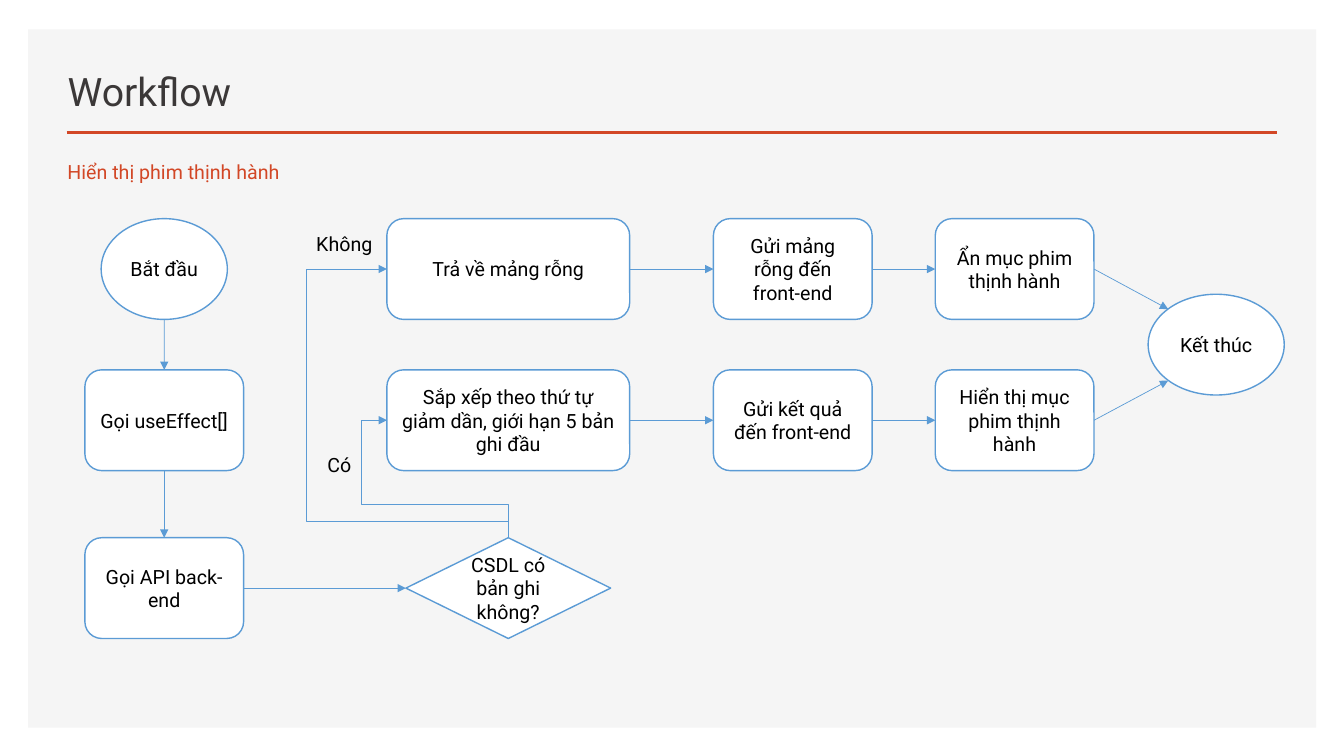
from dataclasses import dataclass

import pptx
import pptx.dml.color
import pptx.enum.shapes
import pptx.enum.text
import pptx.oxml.ns
import pptx.util
from lxml import etree

Cm = pptx.util.Cm
Pt = pptx.util.Pt
Shape = pptx.enum.shapes.MSO_SHAPE
Connector = pptx.enum.shapes.MSO_CONNECTOR
Align = pptx.enum.text.PP_ALIGN
Anchor = pptx.enum.text.MSO_ANCHOR
qn = pptx.oxml.ns.qn

FONT = "Roboto"
COLOURS = {
    "panel": "F5F5F5",
    "accent": "D24726",
    "title": "3B3838",
    "node": "FFFFFF",
    "flow": "5B9BD5",
    "text": "000000",
}
NODE_HEIGHT = 2.54
ROW_TOP, ROW_MIDDLE, ROW_BOTTOM = 6.78, 10.59, 14.82
COLUMN_CALL, COLUMN_QUERY, COLUMN_SEND, COLUMN_SHOW = 4.14, 12.81, 19.98, 25.57
TOP, LEFT, BOTTOM, RIGHT = range(4)


@dataclass(frozen=True)
class Node:
    """A flowchart step, placed by its centre in centimetres."""
    text: str
    x: float
    y: float
    width: float = 4.0
    kind: Shape = Shape.ROUNDED_RECTANGLE


@dataclass(frozen=True)
class Flow:
    start: str
    start_side: int
    end: str
    end_side: int


@dataclass(frozen=True)
class Branch:
    """A decision outcome: up by lift, left past the target by overhang, then in."""
    target: str
    lift: float
    overhang: float
    label: str
    label_x: float
    label_y: float
    label_width: float


NODES = {
    "start": Node("Bắt đầu", COLUMN_CALL, ROW_TOP, 3.18, Shape.OVAL),
    "effect": Node("Gọi useEffect[]", COLUMN_CALL, ROW_MIDDLE),
    "api": Node("Gọi API back-end", COLUMN_CALL, ROW_BOTTOM),
    "decision": Node("CSDL có bản ghi không?", COLUMN_QUERY, ROW_BOTTOM, 5.16, Shape.DIAMOND),
    "empty": Node("Trả về mảng rỗng", COLUMN_QUERY, ROW_TOP, 6.12),
    "sort": Node("Sắp xếp theo thứ tự giảm dần, giới hạn 5 bản ghi đầu",
                 COLUMN_QUERY, ROW_MIDDLE, 6.12),
    "send_empty": Node("Gửi mảng rỗng đến front-end", COLUMN_SEND, ROW_TOP),
    "send_result": Node("Gửi kết quả đến front-end", COLUMN_SEND, ROW_MIDDLE),
    "hide": Node("Ẩn mục phim thịnh hành", COLUMN_SHOW, ROW_TOP),
    "show": Node("Hiển thị mục phim thịnh hành", COLUMN_SHOW, ROW_MIDDLE),
    "end": Node("Kết thúc", 30.65, (ROW_TOP + ROW_MIDDLE) / 2, 3.43, Shape.OVAL),
}
FLOWS = [
    Flow("effect", BOTTOM, "api", TOP),
    Flow("api", RIGHT, "decision", LEFT),
    Flow("empty", RIGHT, "send_empty", LEFT),
    Flow("send_empty", RIGHT, "hide", LEFT),
    Flow("sort", RIGHT, "send_result", LEFT),
    Flow("send_result", RIGHT, "show", LEFT),
]
BRANCHES = [
    Branch("sort", 0.84, 0.64, "Có", 8.0, 11.28, 1.12),
    Branch("empty", 0.40, 2.04, "Không", 7.72, 5.72, 1.96),
]


def colour(name: str) -> pptx.dml.color.RGBColor:
    return pptx.dml.color.RGBColor.from_string(COLOURS[name])


def format_text(frame, size: float, colour_name: str) -> None:
    for para in frame.paragraphs:
        for span in para.runs:
            span.font.size = Pt(size)
            span.font.name = FONT
            span.font.color.rgb = colour(colour_name)


def add_text(page, text: str, left: float, top: float, width: float, height: float,
             colour_name: str, wrap: bool):
    box = page.shapes.add_textbox(Cm(left), Cm(top), Cm(width), Cm(height))
    box.text_frame.word_wrap = wrap
    box.text_frame.text = text
    format_text(box.text_frame, 14, colour_name)
    return box


def add_node(page, node: Node):
    box = page.shapes.add_shape(node.kind, Cm(node.x - node.width / 2),
                                Cm(node.y - NODE_HEIGHT / 2), Cm(node.width), Cm(NODE_HEIGHT))
    box.shadow.inherit = False
    box.fill.solid()
    box.fill.fore_color.rgb = colour("node")
    box.line.color.rgb = colour("flow")
    box.line.width = Pt(1)
    frame = box.text_frame
    frame.word_wrap = True
    frame.vertical_anchor = Anchor.MIDDLE
    frame.text = node.text
    frame.paragraphs[0].alignment = Align.CENTER
    format_text(frame, 14, "text")
    return box


def add_line(page, start: tuple[float, float] = (0, 0), end: tuple[float, float] = (0, 0),
             kind: Connector = Connector.STRAIGHT, colour_name: str = "flow",
             width: float = 0.5, arrow: bool = True):
    line = page.shapes.add_connector(kind, *(Cm(value) for value in (*start, *end)))
    line.line.color.rgb = colour(colour_name)
    line.line.width = Pt(width)
    properties = line._element.spPr
    if arrow:
        etree.SubElement(properties.find(qn("a:ln")), qn("a:tailEnd"), type="triangle")
    etree.SubElement(properties, qn("a:effectLst"))
    return line


def add_branch(page, branch: Branch, boxes: dict) -> None:
    """Draw a four-segment elbow, turned so that it leaves the decision upwards."""
    source, target = boxes["decision"], boxes[branch.target]
    line = add_line(page, kind=Connector.ELBOW)
    line.begin_connect(source, TOP)
    line.end_connect(target, LEFT)
    rise = line.begin_y - line.end_y
    run = line.begin_x - line.end_x
    centre_x = (line.begin_x + line.end_x) // 2
    centre_y = (line.begin_y + line.end_y) // 2
    line.left, line.top = centre_x - rise // 2, centre_y - run // 2
    line.width, line.height = rise, run

    properties = line._element.spPr
    frame = properties.find(qn("a:xfrm"))
    frame.attrib.pop("flipH", None)
    frame.set("rot", str(270 * 60000))
    frame.set("flipV", "1")
    geometry = properties.find(qn("a:prstGeom"))
    geometry.set("prst", "bentConnector4")
    guides = geometry.find(qn("a:avLst"))
    if guides is None:
        guides = etree.SubElement(geometry, qn("a:avLst"))
    ratios = (Cm(branch.lift) / rise, 1 + Cm(branch.overhang) / run)
    for number, ratio in enumerate(ratios, start=1):
        etree.SubElement(guides, qn("a:gd"), name=f"adj{number}",
                         fmla=f"val {round(ratio * 100000)}")
    add_text(page, branch.label, branch.label_x, branch.label_y, branch.label_width,
             0.86, "text", False)


def add_heading(page) -> None:
    panel = page.shapes.add_shape(Shape.RECTANGLE, Cm(0.71), Cm(0.74), Cm(32.46), Cm(17.6))
    panel.shadow.inherit = False
    panel.fill.solid()
    panel.fill.fore_color.rgb = colour("panel")
    panel.line.fill.background()
    add_line(page, (1.68, 3.33), (32.18, 3.33), colour_name="accent", width=2, arrow=False)

    title = page.shapes.title
    page.shapes._spTree.append(title._element)
    title.left, title.top, title.width, title.height = Cm(1.45), Cm(1.24), Cm(19.1), Cm(1.78)
    title.text_frame.text = "Workflow"
    title.text_frame.vertical_anchor = Anchor.BOTTOM
    title.text_frame.paragraphs[0].alignment = Align.LEFT
    format_text(title.text_frame, 28, "title")

    subtitle = add_text(page, "Hiển thị phim thịnh hành", 1.45, 3.86, 12.75, 1.65, "accent", True)
    para = subtitle.text_frame.paragraphs[0]
    para.line_spacing, para.space_before, para.space_after = Pt(18), Pt(10), Pt(6)


def main() -> None:
    deck = pptx.Presentation()
    deck.slide_width, deck.slide_height = Cm(33.87), Cm(19.05)
    page = deck.slides.add_slide(deck.slide_layouts.get_by_name("Title Only"))
    add_heading(page)
    boxes = {name: add_node(page, node) for name, node in NODES.items()}
    for flow in FLOWS:
        line = add_line(page)
        line.begin_connect(boxes[flow.start], flow.start_side)
        line.end_connect(boxes[flow.end], flow.end_side)
    half = NODE_HEIGHT / 2
    first = add_line(page, (COLUMN_CALL, ROW_TOP + half), (COLUMN_CALL, ROW_MIDDLE - half))
    first.end_connect(boxes["effect"], TOP)
    for name, end_y in (("hide", 7.79), ("show", 9.59)):
        last = add_line(page, (NODES[name].x + 2, NODES[name].y), (29.44, end_y))
        last.begin_connect(boxes[name], RIGHT)
    for branch in BRANCHES:
        add_branch(page, branch, boxes)
    deck.save("out.pptx")


if __name__ == "__main__":
    main()
